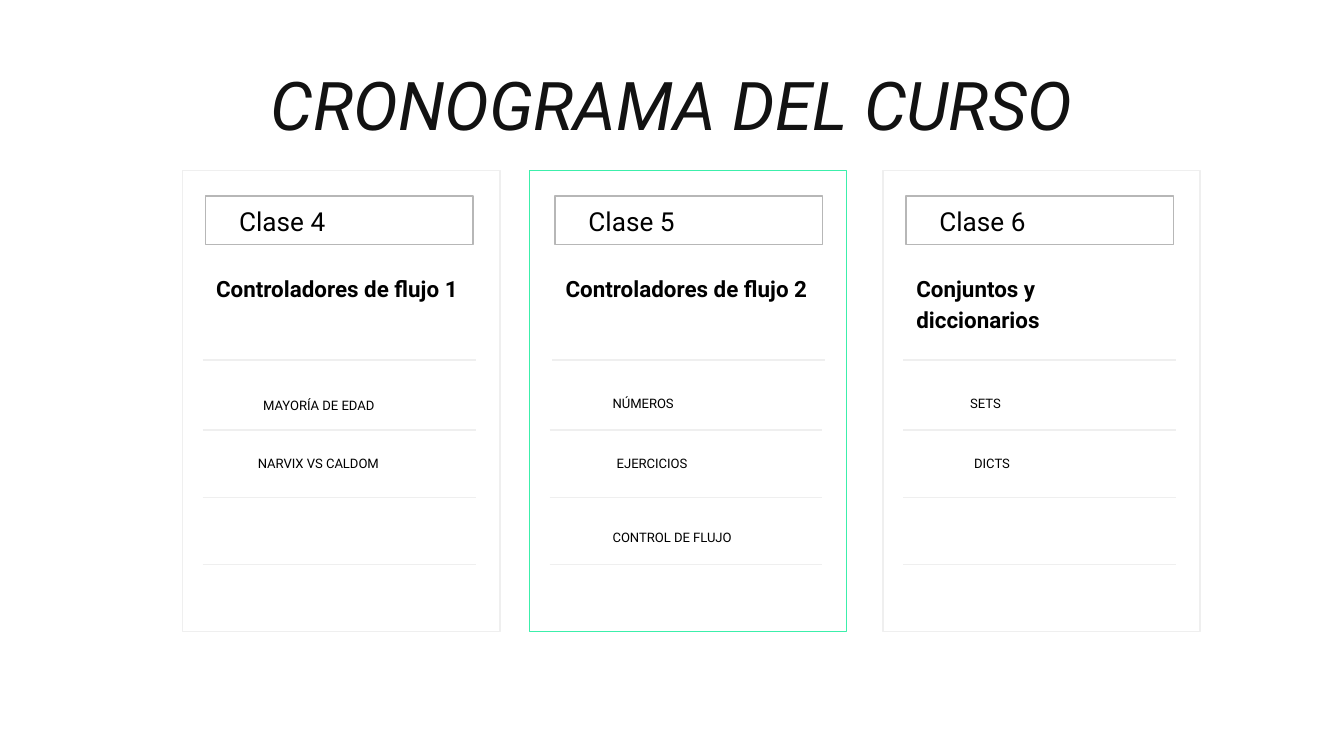
from lxml import etree
from pptx import Presentation
from pptx.dml.color import RGBColor
from pptx.enum.shapes import MSO_CONNECTOR, MSO_SHAPE
from pptx.enum.text import MSO_ANCHOR, PP_ALIGN
from pptx.oxml.ns import qn
from pptx.util import Inches, Pt

RECT = MSO_SHAPE.RECTANGLE
LINE = MSO_CONNECTOR.STRAIGHT
MIDDLE = MSO_ANCHOR.MIDDLE
CENTER = PP_ALIGN.CENTER

FONT = "Roboto"
COLORS = {"title": "121212", "text": "000000", "rule": "EFEFEF",
          "label": "B7B7B7", "active": "3CEFAB"}

# Slide and column grid, in inches
WIDE = 10
HIGH = WIDE * 9 / 16
LEFTS = (1.51, 4.11, 6.72)
WIDTH = 2.03
TOP, TALL = 1.27, 3.43
RULES = (2.68, 3.2, 3.7, 4.2)

# Each class: name, subject, card colour, card shift, lower rule shift,
# topics as (text, shift from column, top)
CLASSES = [
    ("Clase 4", "Controladores de flujo 1", "rule", -0.15, 0,
     [("MAYORÍA DE EDAD", 0.35, 2.82), ("NARVIX VS CALDOM", 0.31, 3.25)]),
    ("Clase 5", "Controladores de flujo 2", "active", -0.17, -0.02,
     [("NÚMEROS", 0.35, 2.8), ("EJERCICIOS", 0.38, 3.25),
      ("CONTROL DE FLUJO", 0.35, 3.8)]),
    ("Clase 6", "Conjuntos y diccionarios", "rule", -0.15, 0,
     [("SETS", 0.4, 2.8), ("DICTS", 0.43, 3.25)]),
]


def paint(name):
    return RGBColor.from_string(COLORS[name])


def add_box(slide, x, y, w, h, color):
    box = slide.shapes.add_shape(RECT, Inches(x), Inches(y),
                                 Inches(w), Inches(h))
    box.shadow.inherit = False
    box.fill.background()
    box.line.color.rgb = paint(color)
    box.line.width = Pt(0.75)


def add_rule(slide, x, y):
    rule = slide.shapes.add_connector(LINE, Inches(x), Inches(y),
                                      Inches(x + WIDTH), Inches(y))
    rule.line.color.rgb = paint("rule")
    rule.line.width = Pt(0.75)
    etree.SubElement(rule._element.spPr, qn("a:effectLst"))


def add_text(slide, text, x, y, w, h, size, color="text"):
    box = slide.shapes.add_textbox(Inches(x), Inches(y),
                                   Inches(w), Inches(h))
    frame = box.text_frame
    frame.word_wrap = True
    frame.margin_left = frame.margin_right = Inches(0.1)
    frame.margin_top = frame.margin_bottom = Inches(0.1)
    frame.text = text
    font = frame.paragraphs[0].runs[0].font
    font.name, font.size = FONT, Pt(size)
    font.color.rgb = paint(color)
    return frame, font


def add_title(slide, text):
    frame, font = add_text(slide, text, 1.53, 0.23, 6.94, 1.08, 36, "title")
    frame.vertical_anchor = MIDDLE
    frame.paragraphs[0].alignment = CENTER
    font.italic = True


def add_topic(slide, text, x, y):
    frame, _ = add_text(slide, text, x, y, 1.52, 0.31, 7)
    frame.margin_top, frame.margin_bottom = Inches(0.14), Inches(0.05)


def add_class(slide, x, name, subject, color, shift, nudge, topics):
    # Card and class name
    add_box(slide, x + shift, TOP, 2.36, TALL, color)
    add_box(slide, x + 0.02, 1.46, 1.99, 0.36, "label")
    add_text(slide, name, x + 0.17, 1.43, 1.35, 0.4, 14)
    # Subject
    frame, font = add_text(slide, subject, x, 1.92, WIDTH, 0.46, 12)
    frame.paragraphs[0].line_spacing = 1.15
    font.bold = True
    # Rules and topics
    for row, y in enumerate(RULES):
        add_rule(slide, x + (nudge if row else 0), y)
    for text, inset, y in topics:
        add_topic(slide, text, x + inset, y)


def main():
    deck = Presentation()
    deck.slide_width, deck.slide_height = Inches(WIDE), Inches(HIGH)
    slide = deck.slides.add_slide(deck.slide_layouts[6])
    add_title(slide, "CRONOGRAMA DEL CURSO")
    for x, item in zip(LEFTS, CLASSES):
        add_class(slide, x, *item)
    deck.save("out.pptx")


if __name__ == "__main__":
    main()
